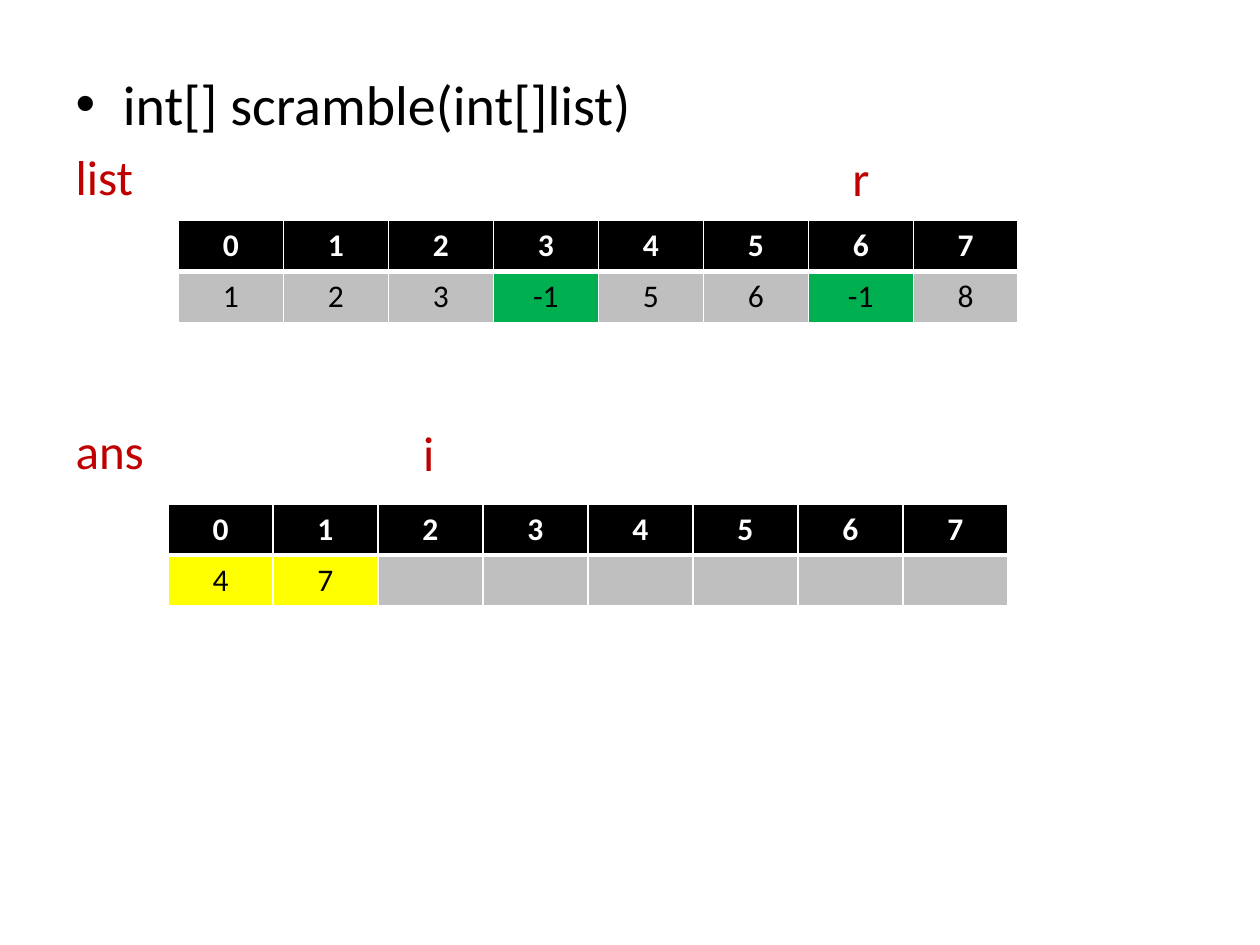
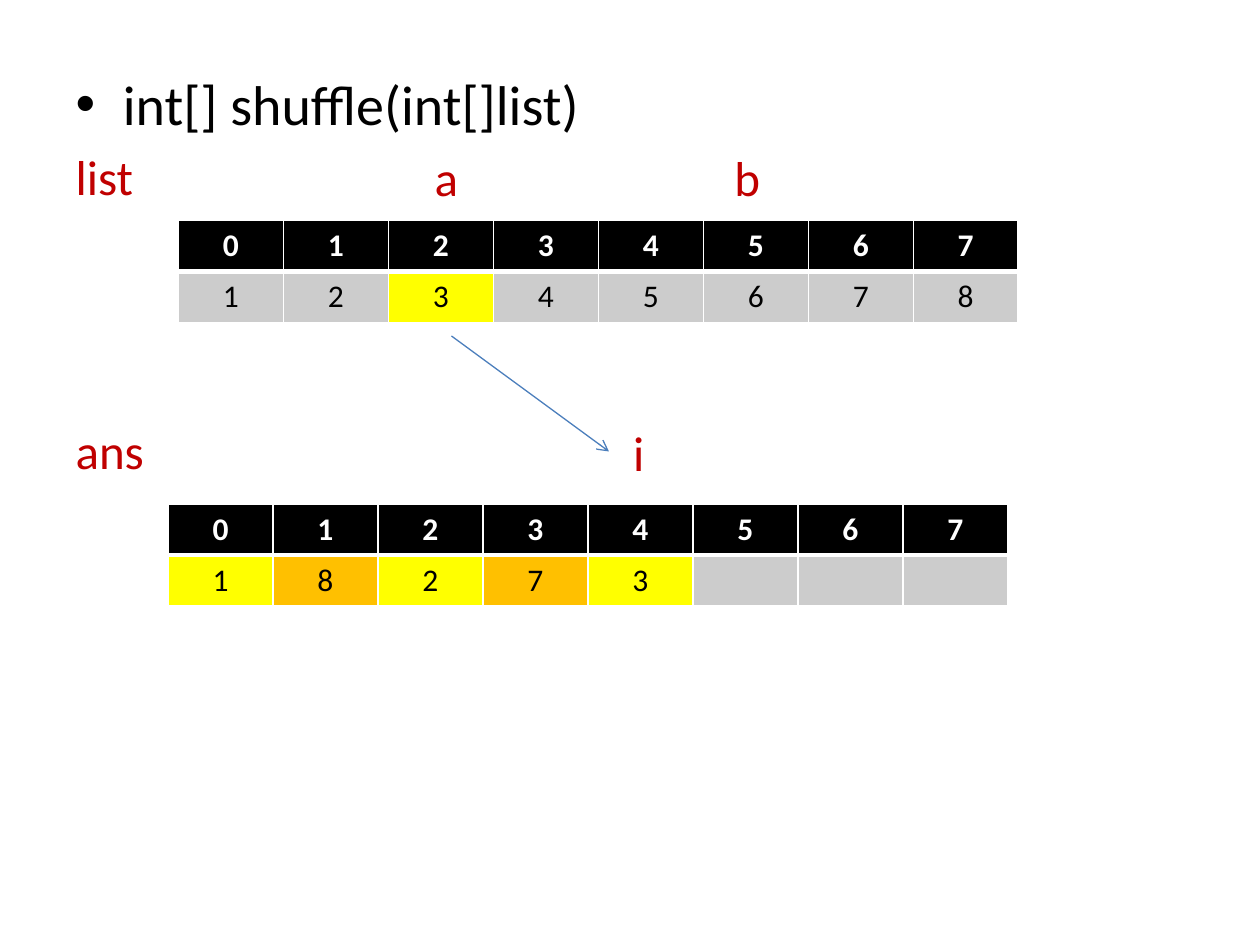
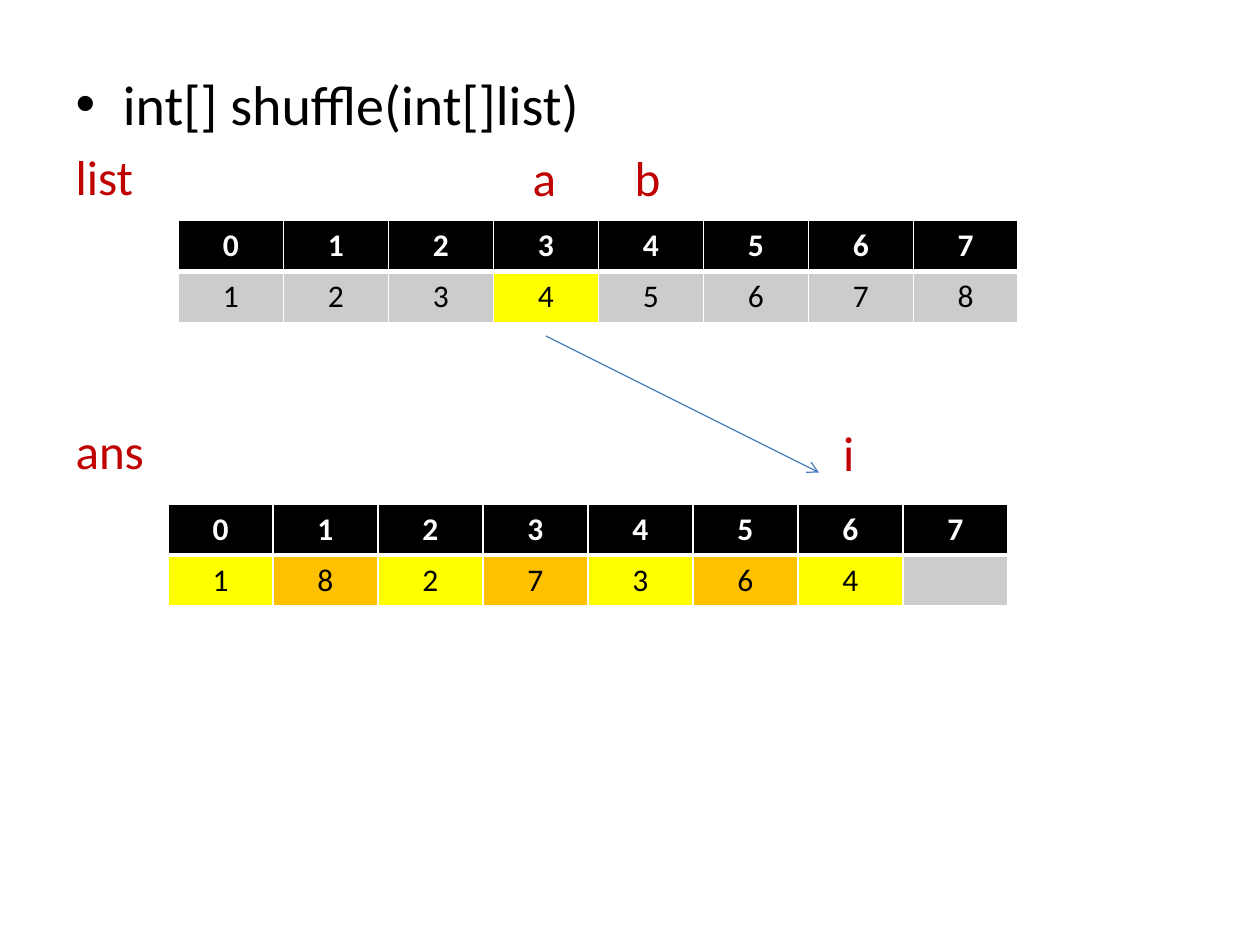
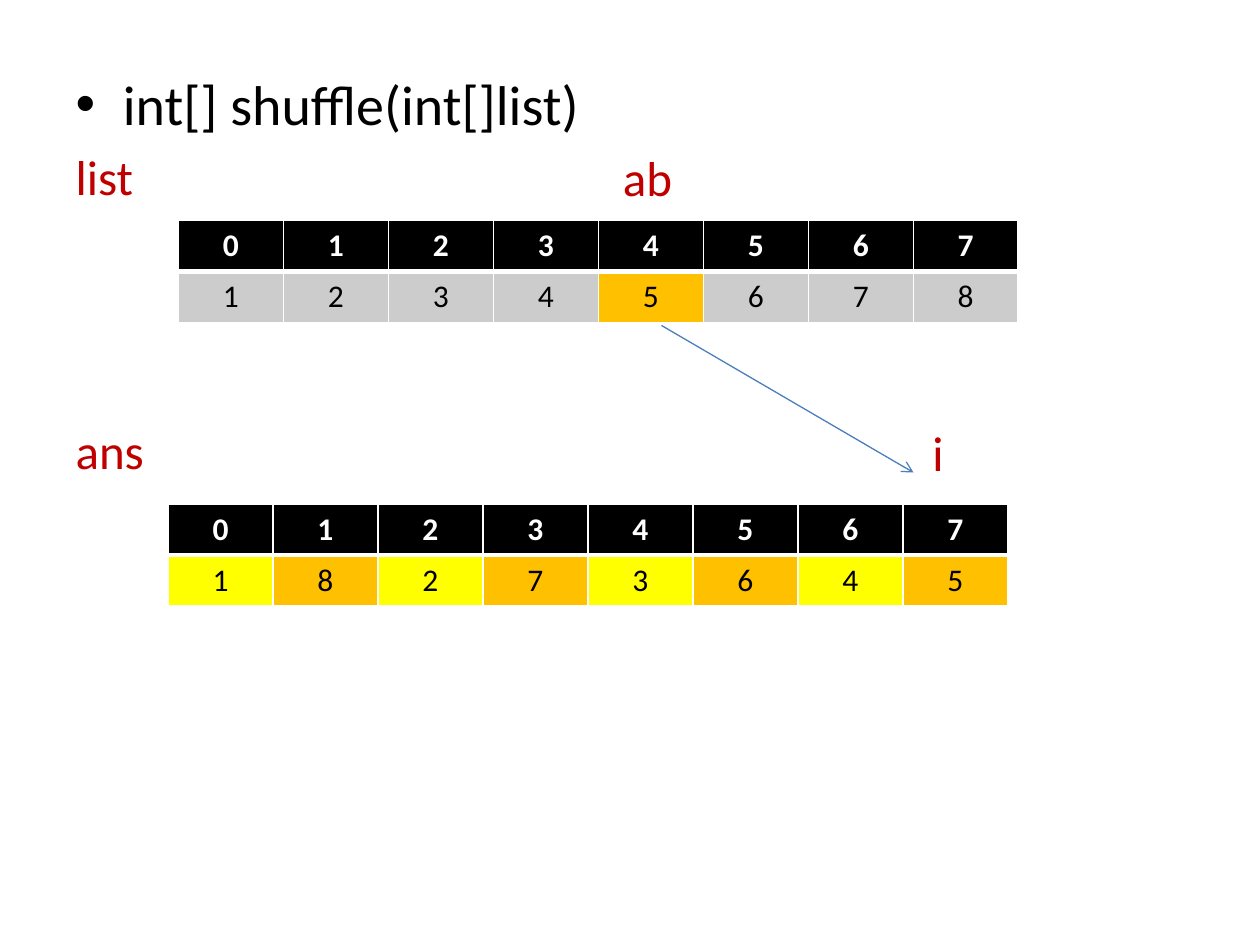
"""Build four slides that trace array scrambling and shuffling."""
from dataclasses import dataclass
from typing import Any, Optional

from lxml import etree
from pptx import Presentation
from pptx.dml.color import RGBColor
from pptx.enum.shapes import MSO_CONNECTOR
from pptx.enum.text import MSO_AUTO_SIZE, PP_ALIGN
from pptx.oxml.ns import qn
from pptx.util import Pt

STRAIGHT = MSO_CONNECTOR.STRAIGHT
CENTER = PP_ALIGN.CENTER
NO_AUTOFIT = MSO_AUTO_SIZE.NONE

FONT = "Calibri"
BLACK, WHITE, RED, BLUE = "000000", "FFFFFF", "C00000", "4B7EBC"
YELLOW, ORANGE, GREEN = "FFFF00", "FFC000", "00B050"
SILVER, LIGHT = "BFBFBF", "CCCCCC"

BODY = {"left": 36, "top": 36, "width": 653.76, "height": 446.4}
CELL_W, ROW_H, COUNT = 60, 29.2, 8
LIST_AT, ANS_AT = (102, 126), (96, 288)
LIST_GAP, ANS_GAP = 5.6, 123
LIST_LINE, ANS_LINE = 84.3, 241.4
MARKER_W, MARKER_H = 48, 34.2
MARGINS = ("margin_left", "margin_top", "margin_right", "margin_bottom")
THIN, THICK = 1, 3


@dataclass
class Marker:
    """An index name centred at x points across the slide."""
    name: str
    x: float


@dataclass
class Array:
    """Values of an array, with the fills of its marked cells."""
    values: list[int]
    fills: dict[int, str]
    base: str = LIGHT


@dataclass
class Arrow:
    """A straight arrow between two points."""
    start: tuple[float, float]
    end: tuple[float, float]


@dataclass
class Step:
    """One slide of the trace."""
    heading: str
    list_markers: list[Marker]
    ans_marker: Marker
    source: Array
    answer: Array
    arrow: Optional[Arrow] = None


def shuffled(count: int) -> Array:
    """Return the first values of the shuffled answer in alternating fills."""
    values = [1, 8, 2, 7, 3, 6, 4, 5][:count]
    return Array(values, {i: ORANGE if i % 2 else YELLOW for i in range(count)})


ONE_TO_EIGHT = list(range(1, COUNT + 1))
SHUFFLE = "int[] shuffle(int[]list)"
STEPS = [
    Step("int[] scramble(int[]list)", [Marker("r", 492)], Marker("i", 245),
         Array([1, 2, 3, -1, 5, 6, -1, 8], {3: GREEN, 6: GREEN}, SILVER),
         Array([4, 7], {0: YELLOW, 1: YELLOW}, SILVER)),
    Step(SHUFFLE, [Marker("a", 255), Marker("b", 427)], Marker("i", 365),
         Array(ONE_TO_EIGHT, {2: YELLOW}), shuffled(5),
         Arrow((258, 192), (348, 258))),
    Step(SHUFFLE, [Marker("a", 311), Marker("b", 370)], Marker("i", 485),
         Array(ONE_TO_EIGHT, {3: YELLOW}), shuffled(7),
         Arrow((312, 192), (468, 270))),
    Step(SHUFFLE, [Marker("ab", 370)], Marker("i", 536),
         Array(ONE_TO_EIGHT, {4: ORANGE}), shuffled(8),
         Arrow((378, 186), (522, 270))),
]


def rgb(color: str) -> RGBColor:
    """Turn a hex string into a colour."""
    return RGBColor.from_string(color)


def add_xml(parent: Any, tag: str, **attrs: Any) -> Any:
    """Append a drawing element with the given attributes."""
    return etree.SubElement(parent, qn(tag), {k: str(v) for k, v in attrs.items()})


def add_run(p: Any, text: str, color: str, size: float, bold: bool = False) -> None:
    """Add a formatted run to a paragraph."""
    r = p.add_run()
    r.text = text
    for name, value in {"name": FONT, "size": Pt(size), "bold": bold}.items():
        setattr(r.font, name, value)
    r.font.color.rgb = rgb(color)


def add_array_name(tf: Any, name: str, gap: float) -> None:
    """Add an array name as an unbulleted paragraph."""
    p = tf.add_paragraph()
    pPr = p._p.get_or_add_pPr()
    pPr.set("marL", "0")
    pPr.set("indent", "0")
    add_xml(pPr, "a:buNone")
    p.space_before = Pt(gap)
    add_run(p, name, RED, 28)


def add_body(s: Any, heading: str) -> None:
    """Fill the body placeholder with the heading and both array names."""
    sp = s.placeholders[1]
    for name, value in BODY.items():
        setattr(sp, name, Pt(value))
    tf = sp.text_frame
    tf.word_wrap = True
    tf.auto_size = NO_AUTOFIT
    p = tf.paragraphs[0]
    p.space_before = Pt(0)
    add_run(p, heading, BLACK, 32)
    add_array_name(tf, "list", LIST_GAP)
    add_array_name(tf, "ans", ANS_GAP)


def add_marker(s: Any, marker: Marker, top: float) -> None:
    """Write an index name on the line of its array name."""
    sp = s.shapes.add_textbox(Pt(marker.x - MARKER_W / 2), Pt(top),
                              Pt(MARKER_W), Pt(MARKER_H))
    tf = sp.text_frame
    tf.word_wrap = True
    for margin in MARGINS:
        setattr(tf, margin, Pt(0))
    p = tf.paragraphs[0]
    p.alignment = CENTER
    add_run(p, marker.name, RED, 28)


def format_cell(cell: Any, text: str, fill: str, header: bool) -> None:
    """Write, border and fill one table cell."""
    tcPr = cell._tc.get_or_add_tcPr()
    widths = {"L": THIN, "R": THIN, "T": THIN if header else THICK,
              "B": THICK if header else THIN}
    for side, width in widths.items():
        ln = add_xml(tcPr, f"a:ln{side}", w=int(Pt(width)))
        add_xml(add_xml(ln, "a:solidFill"), "a:srgbClr", val=WHITE)
    cell.fill.solid()
    cell.fill.fore_color.rgb = rgb(fill)
    p = cell.text_frame.paragraphs[0]
    p.alignment = CENTER
    if text:
        add_run(p, text, WHITE if header else BLACK, 18, header)


def add_array(s: Any, array: Array, at: tuple[float, float]) -> None:
    """Draw an array as a row of indexes above a row of values."""
    frame = s.shapes.add_table(2, COUNT, Pt(at[0]), Pt(at[1]),
                               Pt(CELL_W * COUNT), Pt(ROW_H * 2))
    table = frame.table
    table.horz_banding = False
    for row in table.rows:
        row.height = Pt(ROW_H)
    for i in range(COUNT):
        table.columns[i].width = Pt(CELL_W)
        value = str(array.values[i]) if i < len(array.values) else ""
        format_cell(table.cell(0, i), str(i), BLACK, True)
        format_cell(table.cell(1, i), value, array.fills.get(i, array.base), False)


def add_arrow(s: Any, arrow: Arrow) -> None:
    """Draw a thin arrow from a source cell to the answer index."""
    points = [Pt(v) for v in (*arrow.start, *arrow.end)]
    line = s.shapes.add_connector(STRAIGHT, *points)
    line.line.color.rgb = rgb(BLUE)
    line.line.width = Pt(0.75)
    add_xml(line.line._get_or_add_ln(), "a:tailEnd", type="arrow")
    add_xml(line._element.spPr, "a:effectLst")


def add_step(prs: Any, step: Step) -> None:
    """Add one slide of the trace."""
    s = prs.slides.add_slide(prs.slide_layouts[1])
    title = s.shapes.title._element
    title.getparent().remove(title)
    add_body(s, step.heading)
    for marker in step.list_markers:
        add_marker(s, marker, LIST_LINE)
    add_marker(s, step.ans_marker, ANS_LINE)
    add_array(s, step.source, LIST_AT)
    add_array(s, step.answer, ANS_AT)
    if step.arrow:
        add_arrow(s, step.arrow)


def main() -> None:
    """Build and save the presentation."""
    prs = Presentation()
    prs.slide_width, prs.slide_height = Pt(720), Pt(540)
    for step in STEPS:
        add_step(prs, step)
    prs.save("out.pptx")


if __name__ == "__main__":
    main()
